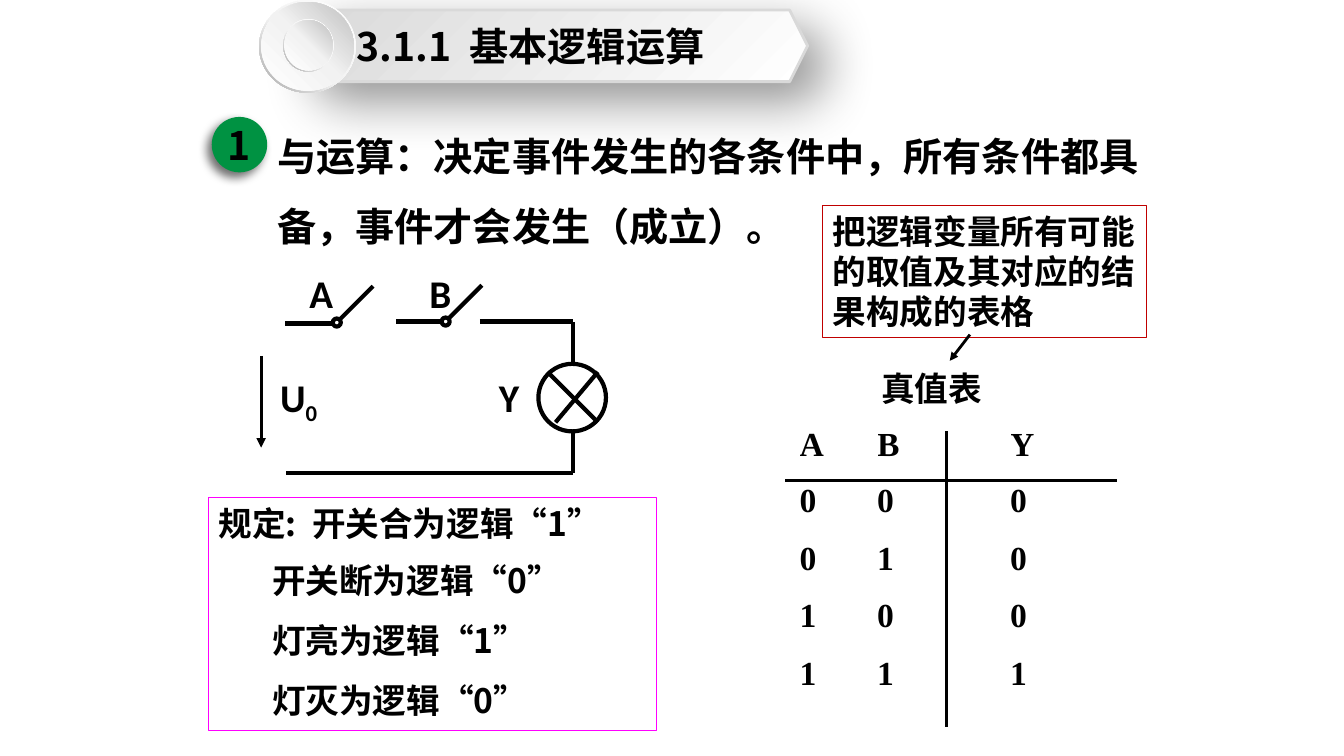
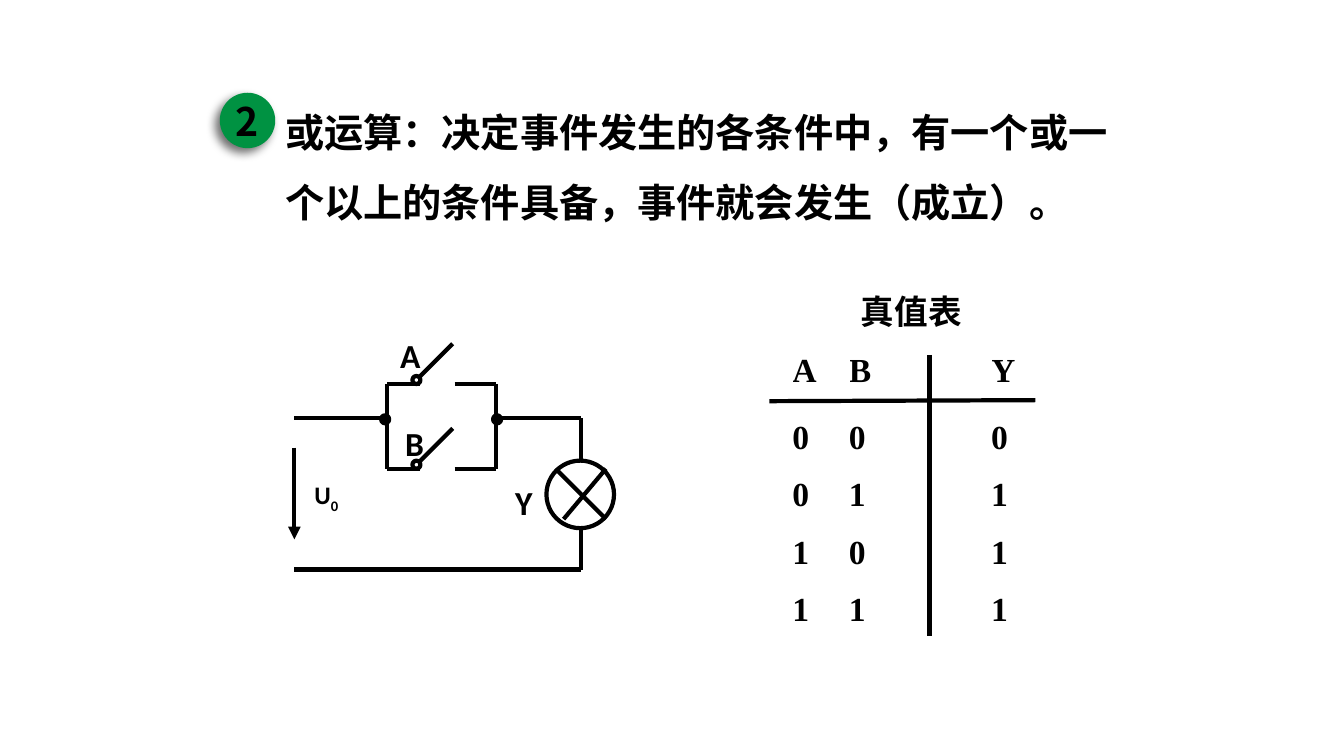
from lxml.etree import SubElement
from pptx import Presentation
from pptx.dml.color import RGBColor
from pptx.enum.shapes import MSO_CONNECTOR, MSO_SHAPE
from pptx.enum.text import MSO_ANCHOR, PP_ALIGN
from pptx.oxml import parse_xml
from pptx.oxml.ns import nsdecls, qn
from pptx.util import Inches, Pt

BLACK, WHITE, GREEN = "000000", "FFFFFF", "009242"
MAGENTA, RED, SILVER = "FF00FF", "C00000", "D9D9D9"
CHINESE, LATIN, SERIF = "Noto Sans CJK SC", "Calibri", "Times New Roman"
TITLE_ONLY, BLANK = 5, 6
LINE_HEIGHT = 1.2


def color(value):
    return RGBColor.from_string(value)


def place(left, top, width, height):
    return [Inches(value) for value in (left, top, width, height)]


class LogicDeck:
    """Holds the shared style and the slide being drawn."""

    def __init__(self):
        self.deck = Presentation()
        self.deck.slide_width, self.deck.slide_height = Inches(13.33), Inches(7.5)
        self.page = None

    def new_page(self, layout):
        self.page = self.deck.slides.add_slide(self.deck.slide_layouts[layout])

    def style(self, para, size, face, spacing=None):
        para.font.size, para.font.bold = Pt(size), True
        para.font.color.rgb = color(BLACK)
        para.font.name = face
        defaults = para._p.get_or_add_pPr().get_or_add_defRPr()
        SubElement(defaults, qn("a:ea"), typeface=CHINESE)
        if spacing:
            para.line_spacing = Pt(round(size * LINE_HEIGHT * spacing, 1))

    def outline(self, line, line_color, width):
        line.color.rgb = color(line_color)
        line.width = Pt(width)

    def shape(self, kind, at, fill=None, line=None):
        """Add a shape; line is a (colour, points) pair."""
        shape = self.page.shapes.add_shape(kind, *place(*at))
        shape.shadow.inherit = False
        if fill:
            shape.fill.solid()
            shape.fill.fore_color.rgb = color(fill)
        else:
            shape.fill.background()
        if line:
            self.outline(shape.line, *line)
        else:
            shape.line.fill.background()
        return shape

    def gradient(self, shape, stops, angle):
        """Fill with (percent, colour) stops at a clockwise angle."""
        marks = "".join(
            f'<a:gs pos="{percent * 1000}"><a:srgbClr val="{value}"/></a:gs>'
            for percent, value in stops)
        properties = shape._element.spPr
        properties.replace(properties.find(qn("a:noFill")), parse_xml(
            f'<a:gradFill {nsdecls("a")} rotWithShape="1"><a:gsLst>{marks}</a:gsLst>'
            f'<a:lin ang="{angle * 60000}" scaled="0"/></a:gradFill>'))

    def cast_shadow(self, shape, opacity, blur, distance, angle):
        effects = shape._element.spPr.find(qn("a:effectLst"))
        effects.append(parse_xml(
            f'<a:outerShdw {nsdecls("a")} blurRad="{Pt(blur)}" dist="{Pt(distance)}" '
            f'dir="{angle * 60000}" algn="ctr" rotWithShape="0">'
            f'<a:srgbClr val="{BLACK}"><a:alpha val="{opacity * 1000}"/></a:srgbClr>'
            '</a:outerShdw>'))

    def line(self, start, end, width=3, arrow=False):
        ends = [Inches(value) for value in (*start, *end)]
        line = self.page.shapes.add_connector(MSO_CONNECTOR.STRAIGHT, *ends)
        self.outline(line.line, BLACK, width)
        if arrow:
            SubElement(line.line._get_or_add_ln(), qn("a:tailEnd"), type="triangle")
        SubElement(line._element.spPr, qn("a:effectLst"))

    def wire(self, *points):
        for start, end in zip(points, points[1:]):
            self.line(start, end)

    def text(self, at, words, size, face, spacing=None, subscript=None):
        box = self.page.shapes.add_textbox(*place(*at))
        box.text_frame.word_wrap = True
        para = box.text_frame.paragraphs[0]
        para.text = words
        self.style(para, size, face, spacing)
        if subscript:
            span = para.add_run()
            span.text = subscript
            span._r.get_or_add_rPr().set("baseline", "-25000")

    def label(self, left, top, words, size, subscript=None):
        self.text((left, top, 0.6, 0.55), words, size, LATIN, subscript=subscript)

    def frame(self, at, border, lines, face, gaps, indent=0):
        """Add a bordered note; lines after the first are indented."""
        box = self.shape(MSO_SHAPE.RECTANGLE, at, line=(border, 0.75))
        frame = box.text_frame
        frame.word_wrap = True
        frame.vertical_anchor = MSO_ANCHOR.TOP
        frame.text = "\n".join(lines)
        for index, (para, gap) in enumerate(zip(frame.paragraphs, gaps)):
            self.style(para, 24, face, spacing=1)
            para.alignment = PP_ALIGN.LEFT
            para.space_before = Pt(gap)
            if index and indent:
                para._p.get_or_add_pPr().set("marL", str(Inches(indent)))

    def title_banner(self, words):
        banner = self.shape(MSO_SHAPE.HEXAGON, (2.9, 0.1, 5.11, 0.71), line=(SILVER, 2))
        self.gradient(banner, [(0, WHITE), (100, SILVER)], 225)
        self.cast_shadow(banner, 42, 38, 19, 45)
        for left, top, width, height in ((2.57, 0, 0.96, 0.92), (2.81, 0.19, 0.5, 0.52)):
            ring = self.shape(MSO_SHAPE.DONUT, (left, top, width, height))
            ring.adjustments[0] = 0.049
            self.gradient(ring, [(0, WHITE), (55, "F2F2F2"), (100, "A6A6A6")], 135)
            inset = 0.02 if width > 0.9 else 0.01
            disc = self.shape(MSO_SHAPE.OVAL, (left + inset, top + inset,
                                               width - 2 * inset, height - 2 * inset))
            self.gradient(disc, [(0, WHITE), (51, "F2F2F2"), (100, "BFBFBF")], 315)
        title = self.page.shapes.title
        title.left, title.top, title.width, title.height = place(3.54, 0.1, 4.2, 0.71)
        frame = title.text_frame
        frame.text = words
        frame.margin_left = frame.margin_right = frame.margin_top = frame.margin_bottom = 0
        frame.vertical_anchor = MSO_ANCHOR.MIDDLE
        frame.paragraphs[0].alignment = PP_ALIGN.LEFT
        self.style(frame.paragraphs[0], 28, CHINESE)
        # Keep the title in front of the banner.
        title._element.getparent().append(title._element)

    def definition(self, number, left, top, width, words):
        """Add a numbered badge with the definition beside it."""
        self.text((left + 0.55, top - 0.13, width, 1.4), words, 28, CHINESE, spacing=1.5)
        badge = self.shape(MSO_SHAPE.OVAL, (left, top, 0.55, 0.55), GREEN)
        self.cast_shadow(badge, 57, 7, 5, 135)
        frame = badge.text_frame
        frame.text = number
        frame.margin_left = frame.margin_right = frame.margin_top = frame.margin_bottom = 0
        frame.vertical_anchor = MSO_ANCHOR.MIDDLE
        frame.paragraphs[0].alignment = PP_ALIGN.CENTER
        self.style(frame.paragraphs[0], 28, CHINESE)

    def dot(self, x, y, fill):
        self.shape(MSO_SHAPE.OVAL, (x - 0.04, y - 0.04, 0.08, 0.08), fill, (BLACK, 3))

    def switch(self, x, y, lead_start, lead_end):
        """Draw an open switch with its pivot at x, y."""
        self.dot(x, y, WHITE)
        self.wire(lead_start, lead_end)
        self.wire((x + 0.03, y - 0.03), (x + 0.36, y - 0.36))

    def lamp(self, left, top):
        """Draw the lamp, its two leads and the return wire."""
        middle, bottom = left + 0.34, top + 1.08
        self.shape(MSO_SHAPE.OVAL, (left, top, 0.67, 0.67), WHITE, (BLACK, 3))
        self.wire((left + 0.09, top + 0.08), (left + 0.59, top + 0.58))
        self.wire((left + 0.17, top + 0.58), (left + 0.59, top + 0.08))
        self.wire((middle, top), (middle, top - 0.42))
        self.wire((middle, top + 0.67), (middle, bottom), (middle - 2.84, bottom))

    def voltage(self, x, y, width):
        self.line((x, y), (x, y + 0.91), width, arrow=True)

    def truth_table(self, outputs, top, header, columns, rules, rule_width):
        """Draw a two-input table; rules are (start, end) pairs."""
        rows = [("A", "B", "Y")]
        rows += [(str(i // 2), str(i % 2), output) for i, output in enumerate(outputs)]
        height = 0.57
        holder = self.page.shapes.add_table(len(rows), 3, *place(
            columns[0], top, columns[-1] - columns[0], header + height * len(outputs)))
        table = holder.table
        table.first_row = table.horz_banding = False
        for column, left, right in zip(table.columns, columns, columns[1:]):
            column.width = Inches(right - left)
        for index, values in enumerate(rows):
            table.rows[index].height = Inches(height if index else header)
            for cell, value in zip(table.rows[index].cells, values):
                cell.fill.background()
                cell.margin_left = cell.margin_right = 0
                cell.margin_top = cell.margin_bottom = 0
                cell.text = value
                self.style(cell.text_frame.paragraphs[0], 24, SERIF)
        for start, end in rules:
            self.line(start, end, rule_width)

    def caption(self, left, top):
        self.text((left, top, 1.3, 0.5), "真值表", 24, SERIF, spacing=1)


def draw_and_page(show):
    show.new_page(TITLE_ONLY)
    show.title_banner("3.1.1  基本逻辑运算")
    show.switch(3.34, 3.2, (2.83, 3.21), (3.32, 3.21))
    show.switch(4.42, 3.19, (3.93, 3.19), (4.38, 3.19))
    show.wire((4.76, 3.19), (5.68, 3.19))
    show.lamp(5.34, 3.61)
    show.voltage(2.59, 3.53, 2.25)
    show.label(2.68, 3.65, "U", 28, subscript="0")
    for name, left, top in (("A", 2.97, 2.62), ("B", 4.16, 2.62), ("Y", 4.85, 3.65)):
        show.label(left, top, name, 28)
    show.caption(8.64, 3.6)
    show.truth_table("0001", 4.23, 0.56, (7.93, 8.7, 10.02, 11.08),
                     [((7.79, 4.77), (11.08, 4.77)), ((9.39, 4.28), (9.39, 7.21))], 2)
    show.frame((2.07, 4.94, 4.44, 2.31), MAGENTA,
               ["规定:  开关合为逻辑“1”", "开关断为逻辑“0”", "灯亮为逻辑“1”", "灯灭为逻辑“0”"],
               CHINESE, (0, 12, 14, 14), indent=0.53)
    show.definition("1", 2.1, 1.16, 9.05,
                    "与运算：决定事件发生的各条件中，所有条件都具备，事件才会发生（成立）。")
    show.frame((8.16, 2.04, 3.21, 1.31), RED,
               ["把逻辑变量所有可能的取值及其对应的结果构成的表格"], LATIN, (0,))
    show.line((9.62, 3.32), (9.42, 3.58), 2, arrow=True)


def draw_or_page(show):
    show.new_page(BLANK)
    show.definition("2", 2.18, 0.92, 8.47,
                    "或运算：决定事件发生的各条件中，有一个或一个以上的条件具备，事件就会发生（成立）。")
    for branch in (3.81, 4.65):
        show.switch(4.13, branch - 0.04, (3.84, branch), (4.17, branch))
        show.wire((4.51, branch), (4.92, branch))
    for x in (3.84, 4.92):
        show.wire((x, 3.81), (x, 4.65))
    show.wire((2.92, 4.15), (3.84, 4.15))
    show.wire((4.92, 4.15), (5.76, 4.15))
    show.lamp(5.42, 4.57)
    show.voltage(2.92, 4.44, 3)
    show.label(3.02, 4.71, "U", 18, subscript="0")
    for x in (3.82, 4.93):
        show.dot(x, 4.16, BLACK)
    for name, left, top in (("A", 3.87, 3.27), ("B", 3.92, 4.15), ("Y", 5.01, 4.73)):
        show.label(left, top, name, 24)
    show.caption(8.44, 2.84)
    show.truth_table("0111", 3.5, 0.66, (7.86, 8.42, 9.83, 10.27),
                     [((7.63, 3.98), (10.27, 3.97)), ((9.22, 3.52), (9.22, 6.31))], 3)


def main():
    show = LogicDeck()
    draw_and_page(show)
    draw_or_page(show)
    show.deck.save("out.pptx")


if __name__ == "__main__":
    main()
